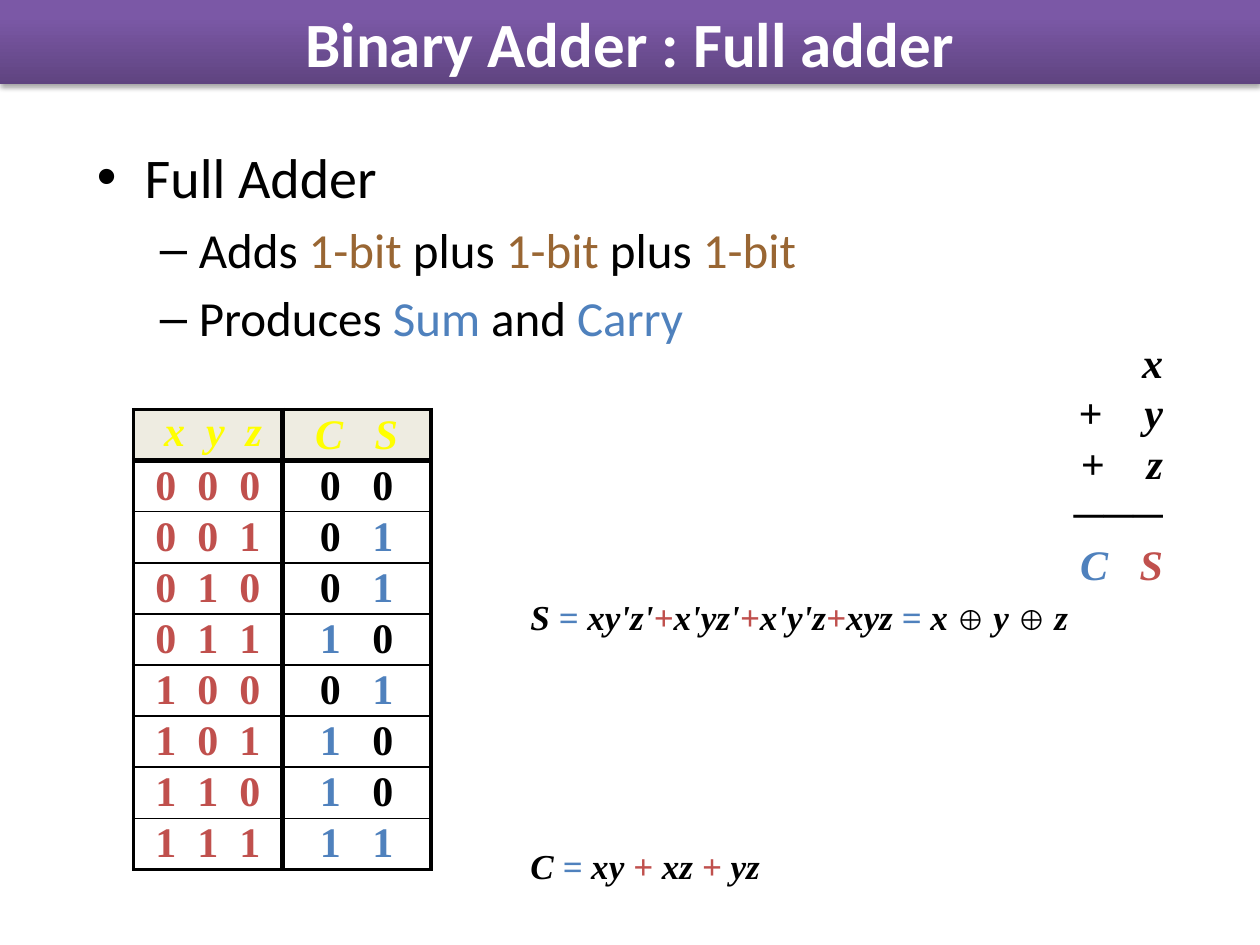
from itertools import product
from lxml import etree
from pptx import Presentation
from pptx.dml.color import RGBColor
from pptx.enum import shapes, text
from pptx.oxml import parse_xml
from pptx.util import Inches, Pt

NS = "http://schemas.openxmlformats.org/drawingml/2006/main"
SANS, SERIF = "Calibri", "Times New Roman"
BLACK, BLUE, RED, BROWN = "000000", "4F81BD", "C0504D", "996633"
YELLOW, CREAM, WHITE = "FFFF00", "EEECE1", "FFFFFF"

TITLE = "Binary Adder : Full adder"
BULLETS = [  # level, runs
    (0, [("Full Adder", BLACK)]),
    (1, [("Adds ", BLACK), ("1-bit", BROWN), (" plus ", BLACK), ("1-bit ", BROWN),
         ("plus ", BLACK), ("1-bit", BROWN)]),
    (1, [("Produces ", BLACK), ("Sum", BLUE), (" and ", BLACK), ("Carry", BLUE)]),
]
LEVELS = [("•", 32, 0.38, 0.38), ("–", 28, 0.81, 0.31)]  # mark, size, margin, hang
HEADS = [" x  y  z", "C   S"]
SUM = [
    [("x", BLACK)],
    [("+    y", BLACK)],
    [("+    z", BLACK)],
    [("───", BLACK)],
    [("C   ", BLUE), ("S", RED)],
]
FORMULAS = [  # top, width, text
    (4.73, 4.33, "S = xy'z'+x'yz'+x'y'z+xyz = x ⊕ y ⊕ z"),
    (6.7, 1.97, "C = xy + xz + yz"),
]
SIGNS = {"=": BLUE, "+": RED}


def color(code):
    return RGBColor.from_string(code)


def write(par, runs, size, font=SERIF, bold=True, italic=True):
    for words, code in runs:
        run = par.add_run()
        run.text = words
        face = run.font
        face.size, face.name = Pt(size), font
        face.bold, face.italic = bold, italic
        face.color.rgb = color(code)


def add_box(slide, left, top, width, height, inset=0, wrap=True):
    box = slide.shapes.add_textbox(*map(Inches, (left, top, width, height)))
    frame = box.text_frame
    frame.word_wrap = wrap
    frame.margin_left = frame.margin_right = Inches(inset)
    frame.margin_top = frame.margin_bottom = Inches(inset / 2)
    return frame


def add_lines(frame, lines):
    """Yield one paragraph for each line, starting with the one already there."""
    for i, line in enumerate(lines):
        yield (frame.add_paragraph() if i else frame.paragraphs[0]), line


def add_title(slide):
    bar = slide.shapes.add_shape(shapes.MSO_SHAPE.RECTANGLE, 0, 0, Inches(10), Inches(0.67))
    bar.line.fill.background()
    stops = "".join(f'<a:gs pos="{pos}000"><a:srgbClr val="{code}"/></a:gs>'
                    for pos, code in [(0, "5F4480"), (80, "7B58A6"), (100, "7C57A8")])
    props = bar.fill._xPr
    props.insert(2, parse_xml(
        f'<a:gradFill xmlns:a="{NS}" rotWithShape="1"><a:gsLst>{stops}</a:gsLst>'
        '<a:lin ang="16200000" scaled="0"/></a:gradFill>'))
    props.append(parse_xml(
        f'<a:effectLst xmlns:a="{NS}"><a:outerShdw blurRad="{Pt(3.1)}" dist="{Pt(1.8)}" '
        'dir="5400000" rotWithShape="0"><a:srgbClr val="000000"><a:alpha val="35000"/>'
        '</a:srgbClr></a:outerShdw></a:effectLst>'))
    frame = bar.text_frame
    frame.vertical_anchor = text.MSO_ANCHOR.MIDDLE
    par = frame.paragraphs[0]
    par.alignment = text.PP_ALIGN.CENTER
    write(par, [(TITLE, WHITE)], 36, SANS, italic=False)


def add_bullets(slide):
    frame = add_box(slide, 0.67, 1.08, 9.06, 1.72, inset=0.1)
    for par, (level, runs) in add_lines(frame, BULLETS):
        mark, size, margin, hang = LEVELS[level]
        par.level = level
        par.space_before = Pt(size * 0.2)
        write(par, runs, size, SANS, bold=False, italic=False)
        props = par._p.get_or_add_pPr()
        props.set("marL", str(Inches(margin)))
        props.set("indent", str(-Inches(hang)))
        etree.SubElement(props, f"{{{NS}}}buFont", typeface="Arial")
        etree.SubElement(props, f"{{{NS}}}buChar", char=mark)


def set_borders(cell, widths):
    """Draw black borders; widths maps L, R, T and B to points."""
    props = cell._tc.get_or_add_tcPr()
    for i, (side, width) in enumerate(widths.items()):
        props.insert(i, parse_xml(
            f'<a:ln{side} xmlns:a="{NS}" w="{Pt(width)}"><a:solidFill>'
            f'<a:srgbClr val="{BLACK}"/></a:solidFill></a:ln{side}>'))


def truth_rows():
    yield [[(head, YELLOW)] for head in HEADS]
    for bits in product((0, 1), repeat=3):
        carry, total = divmod(sum(bits), 2)
        tint = (BLACK, BLUE)
        yield [[("  ".join(map(str, bits)), RED)],
               [(f"{carry}   ", tint[carry]), (str(total), tint[total])]]


def add_truth(slide):
    rows = list(truth_rows())
    last = len(rows) - 1
    table = slide.shapes.add_table(len(rows), 2, *map(Inches, (1.06, 3.25, 2.36, 3.65))).table
    table.first_row = table.horz_banding = False
    for r, row in enumerate(rows):
        for c, runs in enumerate(row):
            cell = table.cell(r, c)
            cell.margin_left = cell.margin_right = cell.margin_top = cell.margin_bottom = 0
            cell.vertical_anchor = text.MSO_ANCHOR.MIDDLE if r or c else text.MSO_ANCHOR.TOP
            cell.fill.solid()
            cell.fill.fore_color.rgb = color(WHITE if r else CREAM)
            set_borders(cell, {"L": 3 if c else 2.25, "R": 2.25 if c else 3,
                               "T": {0: 2.25, 1: 3}.get(r, 1),
                               "B": {0: 3, last: 2.25}.get(r, 1)})
            par = cell.text_frame.paragraphs[0]
            par.alignment = text.PP_ALIGN.CENTER
            write(par, runs, 24, italic=r == 0)


def add_sum(slide):
    frame = add_box(slide, 8.25, 2.67, 0.98, 2.02)
    for par, runs in add_lines(frame, SUM):
        par.alignment = text.PP_ALIGN.RIGHT
        write(par, runs, 24)


def add_formulas(slide):
    for top, width, words in FORMULAS:
        par = add_box(slide, 4.21, top, width, 0.33, wrap=False).paragraphs[0]
        term = ""
        for sign in words + "\n":
            if sign not in "=+⊕\n":
                term += sign
                continue
            write(par, [(term, BLACK)], 20)
            term = ""
            if sign == "⊕":
                write(par, [(sign, BLACK)], 16, italic=False)
            elif sign in SIGNS:
                write(par, [(sign, SIGNS[sign])], 20)


def main():
    deck = Presentation()
    deck.slide_width, deck.slide_height = Inches(10), Inches(7.5)
    slide = deck.slides.add_slide(deck.slide_layouts[6])
    for add in (add_bullets, add_truth, add_sum, add_formulas, add_title):
        add(slide)
    deck.save("out.pptx")


if __name__ == "__main__":
    main()
